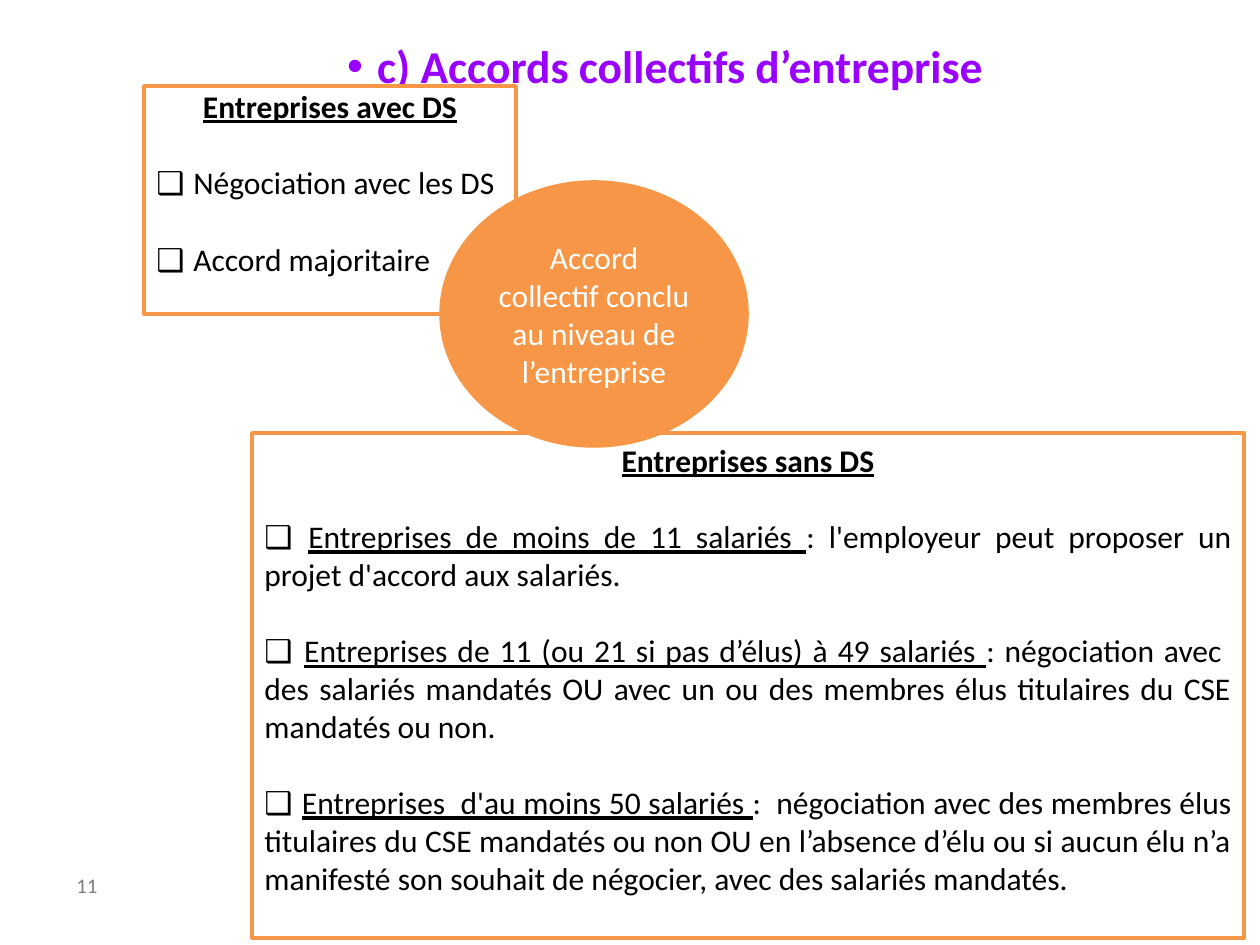
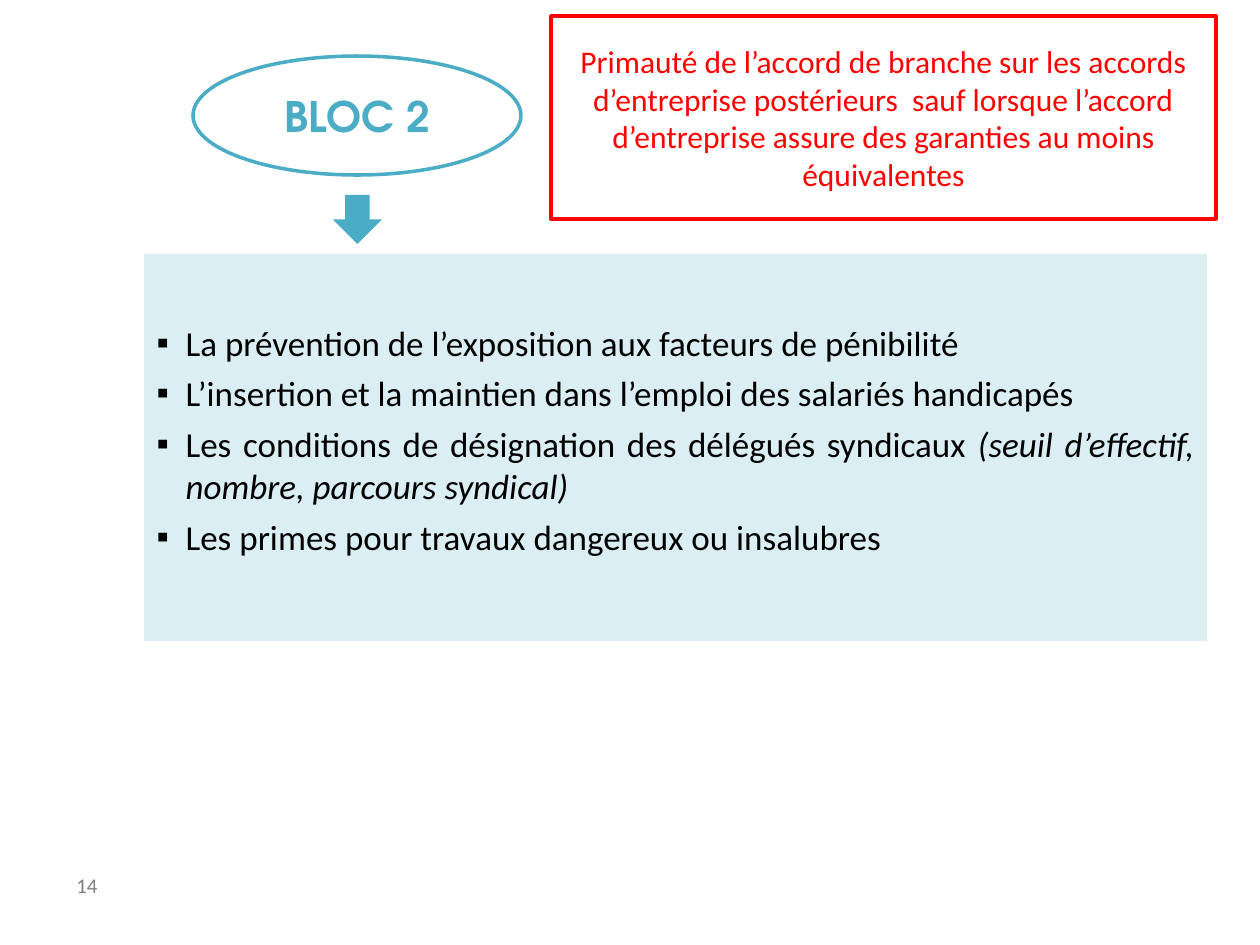
from dataclasses import dataclass

from lxml.etree import SubElement
from pptx import Presentation
from pptx.dml.color import RGBColor
from pptx.enum.shapes import MSO_SHAPE
from pptx.enum.text import MSO_ANCHOR, MSO_AUTO_SIZE, PP_ALIGN
from pptx.oxml.ns import qn
from pptx.util import Emu, Pt

PIXELS_PER_INCH = 126
TITLE_AND_CONTENT, TITLE_ONLY = 1, 5


@dataclass(frozen=True)
class Theme:
    font: str = "Calibri"
    symbol_font: str = "Arial"
    badge_font: str = "TeX Gyre Adventor"
    purple: str = "9900FF"
    orange: str = "F79646"
    teal: str = "4BACC6"
    pale_teal: str = "DBEEF4"
    red: str = "FF0000"
    black: str = "000000"
    white: str = "FFFFFF"
    grey: str = "7F7F7F"
    title_size: float = 26
    badge_size: float = 24
    list_size: float = 20
    text_size: float = 18
    number_size: float = 11.9
    line_width: float = 2
    item_gap: float = 22
    list_gap: float = 5


def px(length):
    return Emu(round(length * 914400 / PIXELS_PER_INCH))


class Deck:
    def __init__(self, theme):
        self.theme = theme
        self.presentation = Presentation()
        self.presentation.slide_width = px(1260)
        self.presentation.slide_height = px(945)
        self.slide = None

    def new_slide(self, layout, number):
        layouts = self.presentation.slide_layouts
        self.slide = self.presentation.slides.add_slide(layouts[layout])
        box = self.slide.shapes.add_textbox(px(64), px(869), px(155), px(40))
        box.text_frame.word_wrap = True
        paragraph = box.text_frame.paragraphs[0]
        paragraph.line_spacing = 0.9
        self.set_text(paragraph, number, self.theme.number_size, self.theme.grey)

    def set_text(self, paragraph, text, size, color, font=None, bold=False,
                 align=PP_ALIGN.LEFT):
        paragraph.alignment = align
        paragraph.font.name = font or self.theme.font
        paragraph.font.size = Pt(size)
        paragraph.font.bold = bold
        paragraph.font.color.rgb = RGBColor.from_string(color)
        if text:
            paragraph.add_run().text = text

    def bullet(self, paragraph, symbol, indent):
        properties = paragraph._p.get_or_add_pPr()
        properties.set("marL", str(px(indent)))
        properties.set("indent", str(-px(indent)))
        SubElement(properties, qn("a:buFont"), typeface=self.theme.symbol_font)
        SubElement(properties, qn("a:buChar"), char=symbol)

    def place(self, placeholder, left, top, width, height, inset):
        placeholder.left, placeholder.top = px(left), px(top)
        placeholder.width, placeholder.height = px(width), px(height)
        frame = placeholder.text_frame
        frame.auto_size = MSO_AUTO_SIZE.NONE
        frame.vertical_anchor = MSO_ANCHOR.TOP
        frame.margin_top = px(inset)
        return frame

    def title(self, text, left, top, width, height):
        frame = self.place(self.slide.shapes.title, left, top, width, height, 0)
        paragraph = frame.paragraphs[0]
        self.bullet(paragraph, "•", 30)
        self.set_text(paragraph, text, self.theme.title_size,
                      self.theme.purple, bold=True, align=PP_ALIGN.CENTER)

    def shape(self, kind, left, top, width, height, fill=None, line=None):
        shape = self.slide.shapes.add_shape(
            kind, px(left), px(top), px(width), px(height))
        shape.shadow.inherit = False
        if fill:
            shape.fill.solid()
            shape.fill.fore_color.rgb = RGBColor.from_string(fill)
        else:
            shape.fill.background()
        if line:
            shape.line.color.rgb = RGBColor.from_string(line)
            shape.line.width = Pt(self.theme.line_width)
        else:
            shape.line.fill.background()
        return shape

    def label(self, shape, text, size, color, font=None, bold=False):
        frame = shape.text_frame
        frame.word_wrap = True
        frame.vertical_anchor = MSO_ANCHOR.MIDDLE
        self.set_text(frame.paragraphs[0], text, size, color, font, bold,
                      PP_ALIGN.CENTER)

    def checklist(self, heading, items, left, top, width, height, inset):
        theme = self.theme
        box = self.shape(MSO_SHAPE.RECTANGLE, left, top, width, height,
                         theme.white, theme.orange)
        frame = box.text_frame
        self.label(box, heading, theme.text_size, theme.black, bold=True)
        frame.paragraphs[0].font.underline = True
        frame.vertical_anchor = MSO_ANCHOR.TOP
        frame.margin_top = px(inset)
        for underlined, plain in items:
            paragraph = frame.add_paragraph()
            paragraph.space_before = Pt(theme.item_gap)
            self.set_text(paragraph, "❑ ", theme.text_size, theme.black,
                          align=PP_ALIGN.JUSTIFY)
            paragraph.runs[0].font.name = theme.symbol_font
            if underlined:
                run = paragraph.add_run()
                run.text = underlined
                run.font.underline = True
            paragraph.add_run().text = plain

    def bullet_panel(self, items, left, top, width, height, inset):
        theme = self.theme
        panel = self.slide.placeholders[1]
        frame = self.place(panel, left, top, width, height, inset)
        panel.fill.solid()
        panel.fill.fore_color.rgb = RGBColor.from_string(theme.pale_teal)
        for index, (text, aside) in enumerate(items):
            paragraph = frame.add_paragraph() if index else frame.paragraphs[0]
            paragraph.space_before = Pt(theme.list_gap if index else 0)
            self.bullet(paragraph, "▪", 29)
            self.set_text(paragraph, text, theme.list_size, theme.black,
                          align=PP_ALIGN.JUSTIFY)
            if aside:
                run = paragraph.add_run()
                run.text = aside
                run.font.italic = True


def build_company_agreements(deck):
    theme = deck.theme
    deck.new_slide(TITLE_ONLY, "11")
    deck.title("c) Accords collectifs d’entreprise", 134, 38, 1063, 97)
    deck.checklist("Entreprises avec DS", [
        ("", "Négociation avec les DS"),
        ("", "Accord majoritaire"),
    ], 144, 86, 372, 228, 1)
    deck.checklist("Entreprises sans DS", [
        ("Entreprises de moins de 11 salariés ",
         ": l'employeur peut proposer un projet d'accord aux salariés."),
        ("Entreprises de 11 (ou 21 si pas d’élus) à 49 salariés ",
         ": négociation avec  des salariés mandatés OU avec un ou des membres "
         "élus titulaires du CSE mandatés ou non."),
        ("Entreprises  d'au moins 50 salariés ",
         ":  négociation avec des membres élus titulaires du CSE mandatés ou "
         "non OU en l’absence d’élu ou si aucun élu n’a manifesté son souhait "
         "de négocier, avec des salariés mandatés."),
    ], 252, 433, 992, 505, 8)
    agreement = deck.shape(MSO_SHAPE.OVAL, 441, 182, 306, 264,
                           theme.orange, theme.orange)
    deck.label(agreement, "Accord collectif conclu au niveau de l’entreprise",
               theme.text_size, theme.white)


def build_block_two(deck):
    theme = deck.theme
    deck.new_slide(TITLE_AND_CONTENT, "14")
    title = deck.slide.shapes.title.element
    title.getparent().remove(title)
    deck.bullet_panel([
        ("La prévention de l’exposition aux facteurs de pénibilité", ""),
        ("L’insertion et la maintien dans l’emploi des salariés handicapés", ""),
        ("Les conditions de désignation des délégués syndicaux ",
         "(seuil d’effectif, nombre, parcours syndical)"),
        ("Les primes pour travaux dangereux ou insalubres", ""),
    ], 144, 254, 1063, 387, 67)
    badge = deck.shape(MSO_SHAPE.OVAL, 193, 56, 328, 119, line=theme.teal)
    deck.label(badge, "BLOC 2", theme.badge_size, theme.teal,
               theme.badge_font, True)
    deck.shape(MSO_SHAPE.DOWN_ARROW, 333, 195, 49, 49, theme.teal)
    rule = deck.shape(MSO_SHAPE.RECTANGLE, 551, 16, 665, 203,
                      theme.white, theme.red)
    deck.label(rule, "Primauté de l’accord de branche sur les accords "
               "d’entreprise postérieurs  sauf lorsque l’accord d’entreprise "
               "assure des garanties au moins équivalentes",
               theme.text_size, theme.red)


def main():
    deck = Deck(Theme())
    build_company_agreements(deck)
    build_block_two(deck)
    deck.presentation.save("out.pptx")


if __name__ == "__main__":
    main()
